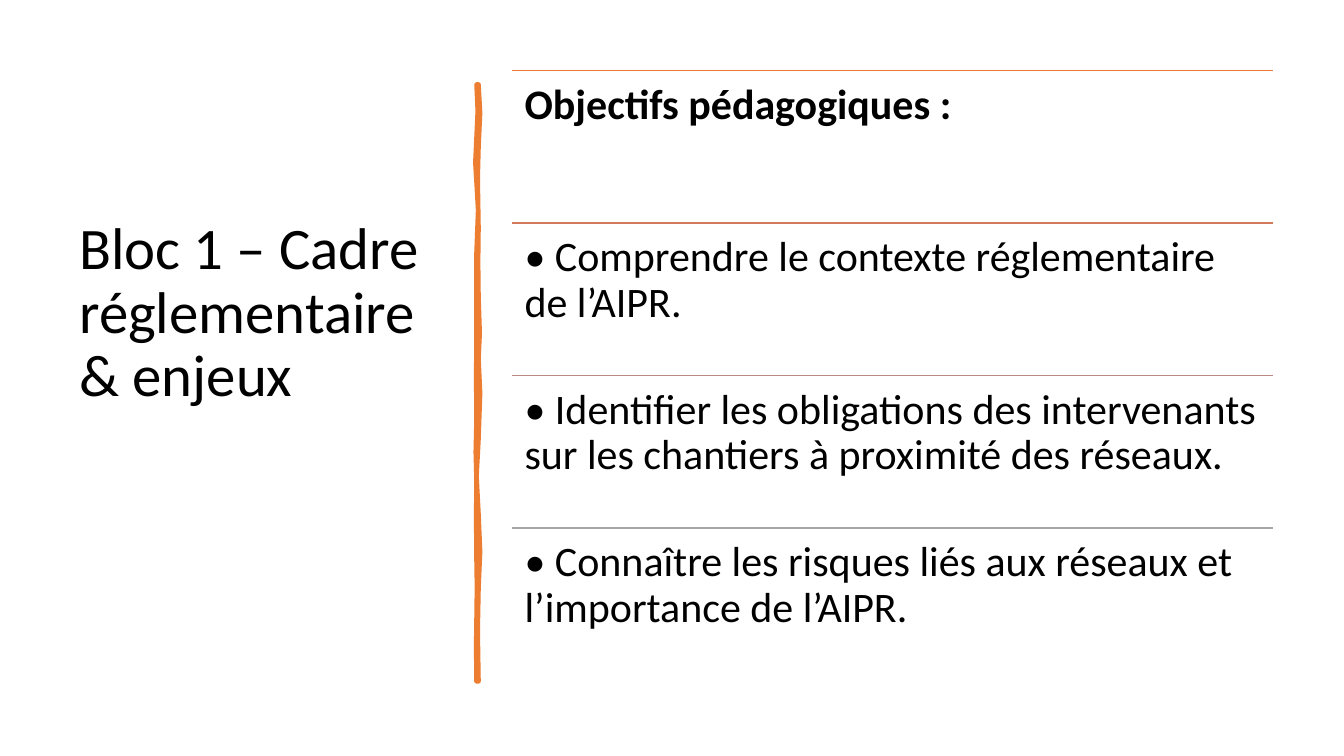
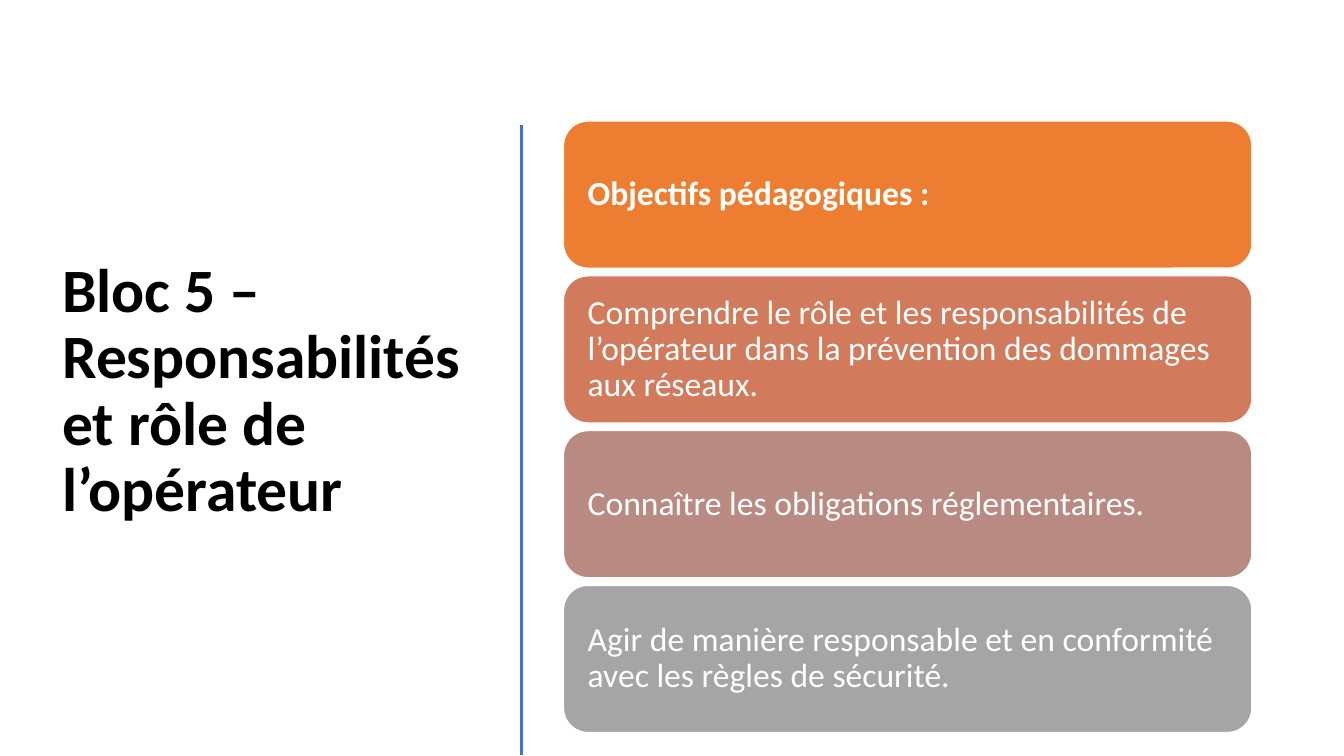
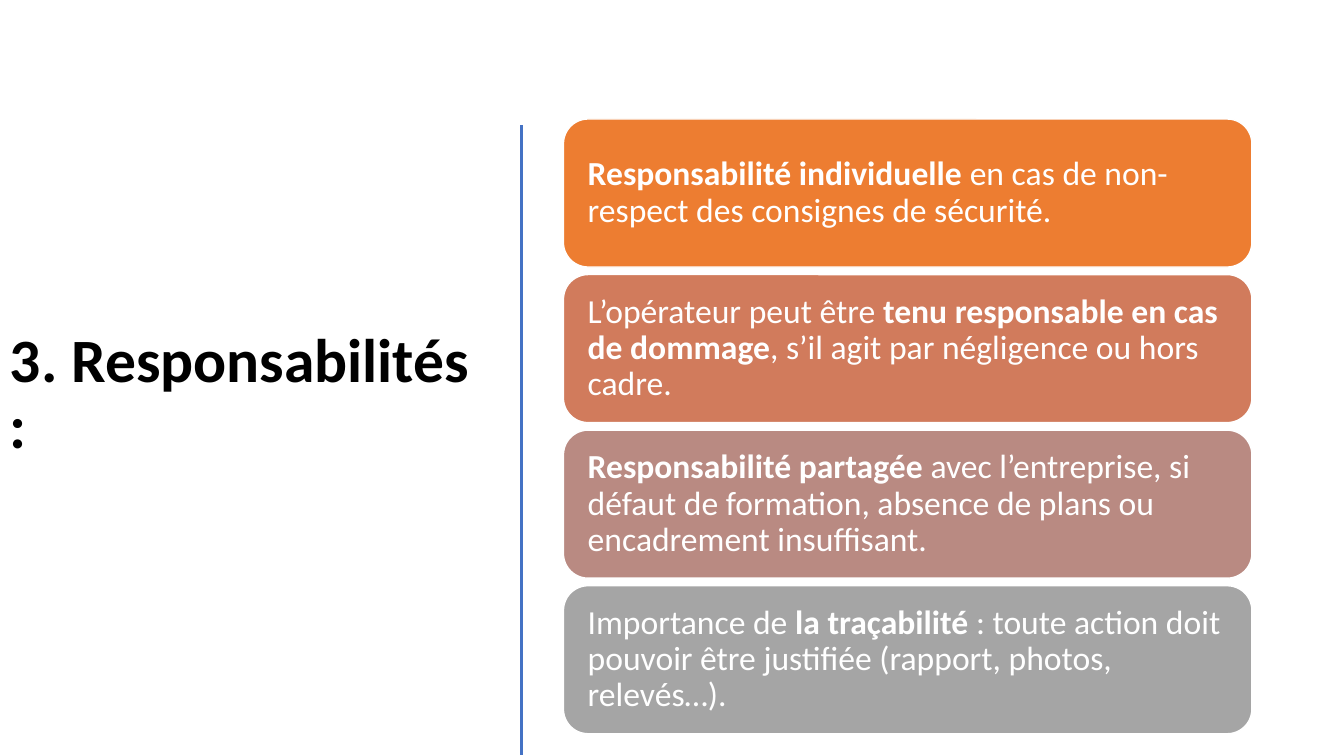
"""Build three training slides: a title on the left, four stacked items on the right."""
from pptx import Presentation
from pptx.dml.color import RGBColor
from pptx.enum.shapes import MSO_CONNECTOR, MSO_SHAPE
from pptx.enum.text import MSO_ANCHOR, PP_ALIGN
from pptx.oxml.ns import qn
from pptx.util import Cm, Pt

BLACK = RGBColor(0x00, 0x00, 0x00)
WHITE = RGBColor(0xFF, 0xFF, 0xFF)
BLUE = RGBColor(0x44, 0x72, 0xC4)
ORANGE = RGBColor(0xED, 0x7D, 0x31)
RAMP = [ORANGE, RGBColor(0xD1, 0x7B, 0x5C), RGBColor(0xB9, 0x8A, 0x82), RGBColor(0xA5, 0xA5, 0xA5)]


def write(sp, text, size, color, anchor, inset_x, inset_y):
    """Fill a shape with one paragraph; text between bars is bold."""
    tf = sp.text_frame
    tf.word_wrap = True
    tf.vertical_anchor = anchor
    tf.margin_left = tf.margin_right = Cm(inset_x)
    tf.margin_top = tf.margin_bottom = Cm(inset_y)
    p = tf.paragraphs[0]
    p.alignment = PP_ALIGN.LEFT
    p.line_spacing = 0.9
    p.font.name = "Calibri"
    p.font.size = Pt(size)
    p.font.color.rgb = color
    for i, part in enumerate(text.split("|")):
        if part:
            r = p.add_run()
            r.text = part
            if i % 2:
                r.font.bold = True


def add_line(s, x1, y1, x2, y2, color, width):
    """Draw a straight line without shadow."""
    line = s.shapes.add_connector(MSO_CONNECTOR.STRAIGHT, Cm(x1), Cm(y1), Cm(x2), Cm(y2))
    line.line.color.rgb = color
    line.line.width = Pt(width)
    line._element.spPr.append(line._element.makeelement(qn("a:effectLst"), {}))


prs = Presentation()
prs.slide_width = Cm(33.87)
prs.slide_height = Cm(19.05)
blank = prs.slide_layouts[6]

s = prs.slides.add_slide(blank)
sp = s.shapes.add_textbox(Cm(1.75), Cm(1.78), Cm(9.5), Cm(12.27))
write(sp, "Bloc 1 – Cadre réglementaire & enjeux", 42, BLACK, MSO_ANCHOR.MIDDLE, 0.25, 0.13)

right_edge = [
    (12.06, 2.13), (12.1, 2.85), (12.06, 3.71), (12.04, 4.5), (12.06, 5.74), (12.05, 6.6),
    (12.06, 7.47), (12.09, 8.4), (12.06, 9.04), (12.1, 9.9), (12.06, 11.07), (12.01, 12),
    (12.06, 12.95), (12.1, 13.9), (12.06, 14.83), (12.04, 15.9), (12.06, 17.17),
]
left_edge = [
    (12.01, 17.17), (12, 16.3), (12.01, 15.57), (12.02, 14.8), (12.01, 14.15), (12, 13),
    (12.01, 12.12), (11.99, 11.4), (12.01, 10.54), (12, 9.5), (12.01, 8.51), (12.01, 6.35),
    (12.05, 5.3), (12.01, 4.6), (11.98, 4.1), (12.04, 2.8), (12.01, 2.13),
]
points = [(Cm(x), Cm(y)) for x, y in right_edge + left_edge]
builder = s.shapes.build_freeform(*points[0])
builder.add_line_segments(points[1:], close=True)
bar = builder.convert_to_shape()
bar.shadow.inherit = False
bar.fill.solid()
bar.fill.fore_color.rgb = ORANGE
bar.line.color.rgb = ORANGE
bar.line.width = Pt(3.25)

objectives = [
    "|Objectifs pédagogiques :|",
    "• Comprendre le contexte réglementaire de l’AIPR.",
    "• Identifier les obligations des intervenants sur les chantiers à proximité des réseaux.",
    "• Connaître les risques liés aux réseaux et l’importance de l’AIPR.",
]
for i, (text, color) in enumerate(zip(objectives, RAMP)):
    y = 1.78 + i * 3.84
    add_line(s, 12.9, y, 32.08, y, color, 1)
    sp = s.shapes.add_textbox(Cm(12.9), Cm(y), Cm(19.18), Cm(3.84))
    write(sp, text, 30, BLACK, MSO_ANCHOR.TOP, 0.32, 0.32)

card_slides = [
    ("|Bloc 5 – Responsabilités et rôle de l’opérateur|", (1.32, 2.97, 10.95, 13.82), 3.05, 3.71, 3.9, [
        "|Objectifs pédagogiques :|",
        "Comprendre le rôle et les responsabilités de l’opérateur dans la prévention des dommages aux réseaux.",
        "Connaître les obligations réglementaires.",
        "Agir de manière responsable et en conformité avec les règles de sécurité.",
    ]),
    ("|3. Responsabilités :|", (0, 3.12, 12.4, 13.7), 3, 3.73, 3.92, [
        "|Responsabilité individuelle| en cas de non-respect des consignes de sécurité.",
        "L’opérateur peut être |tenu responsable en cas de dommage|, s’il agit par négligence ou hors cadre.",
        "|Responsabilité partagée| avec l’entreprise, si défaut de formation, absence de plans ou "
        "encadrement insuffisant.",
        "Importance de |la traçabilité| : toute action doit pouvoir être justifiée (rapport, photos, relevés…).",
    ]),
]
for title, box, top, height, pitch, cards in card_slides:
    s = prs.slides.add_slide(blank)
    sp = s.shapes.add_textbox(*[Cm(v) for v in box])
    write(sp, title, 44, BLACK, MSO_ANCHOR.MIDDLE, 0.25, 0.13)
    add_line(s, 13.14, 3.15, 13.14, 19.03, BLUE, 2)
    for i, (text, color) in enumerate(zip(cards, RAMP)):
        sp = s.shapes.add_shape(MSO_SHAPE.ROUNDED_RECTANGLE, Cm(14.2), Cm(top + i * pitch), Cm(17.35), Cm(height))
        sp.shadow.inherit = False
        sp.fill.solid()
        sp.fill.fore_color.rgb = color
        sp.line.color.rgb = WHITE
        sp.line.width = Pt(1)
        write(sp, text, 24, WHITE, MSO_ANCHOR.MIDDLE, 0.43, 0.25)

prs.save("out.pptx")
